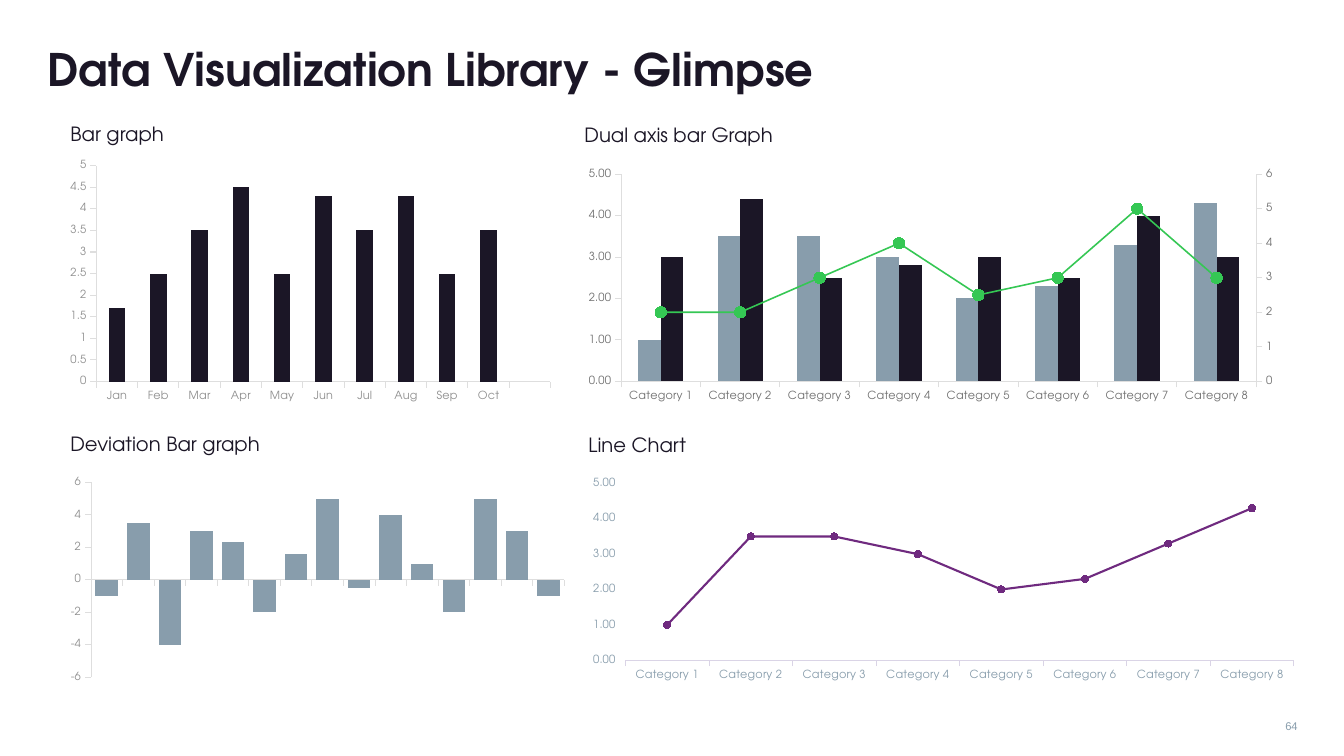
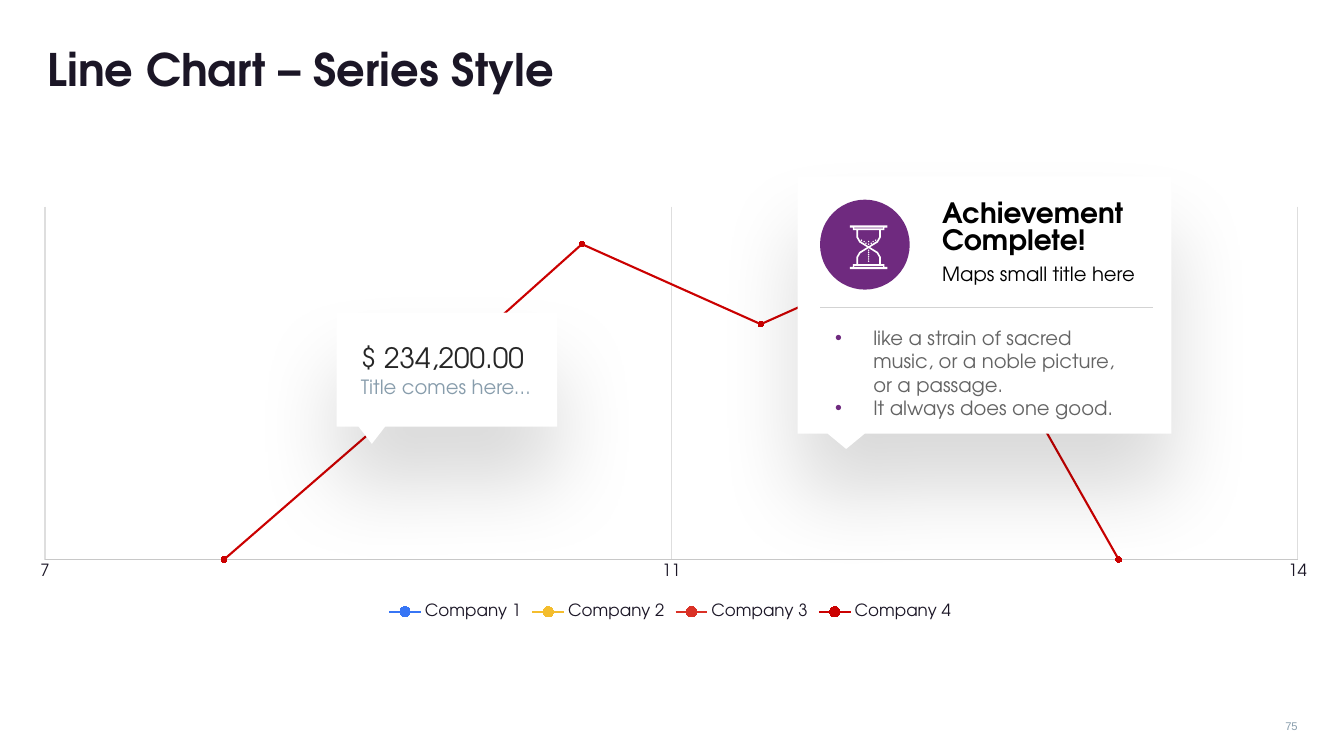
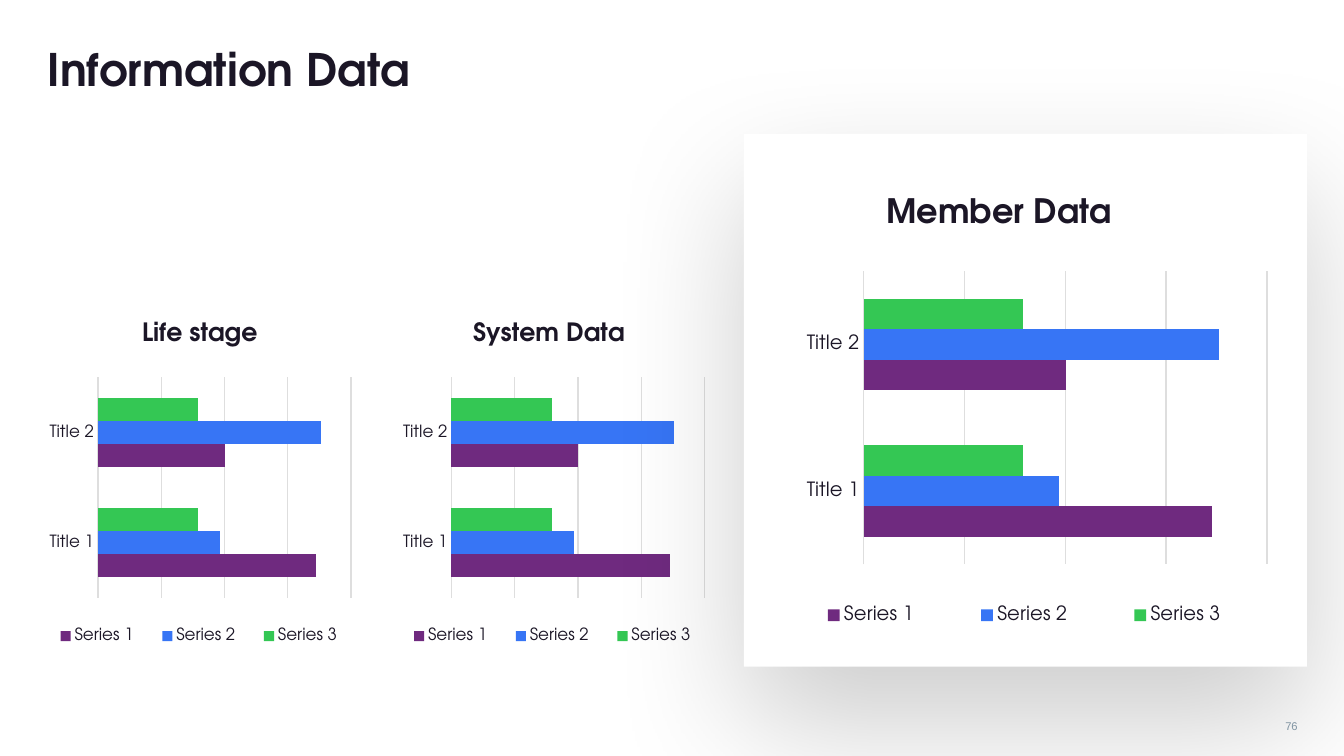
import pptx
import pptx.util
import pptx.chart.data
import pptx.dml.color
import pptx.enum.chart
import pptx.enum.shapes
import pptx.enum.text
import pptx.oxml
import pptx.oxml.ns

RGBColor = pptx.dml.color.RGBColor
Pt = pptx.util.Pt
KIND = pptx.enum.chart.XL_CHART_TYPE
TICK = pptx.enum.chart.XL_TICK_MARK
LABEL = pptx.enum.chart.XL_TICK_LABEL_POSITION
SHAPE = pptx.enum.shapes.MSO_SHAPE
ALIGN = pptx.enum.text.PP_ALIGN
ANCHOR = pptx.enum.text.MSO_ANCHOR
qn = pptx.oxml.ns.qn

INK = RGBColor(0x1B, 0x16, 0x26)
BLACK = RGBColor(0, 0, 0)
WHITE = RGBColor(0xFF, 0xFF, 0xFF)
STEEL = RGBColor(0x88, 0x9D, 0xAC)
DIM = RGBColor(0x8F, 0x8F, 0x8F)
GREY = RGBColor(0x70, 0x70, 0x70)
BODY = RGBColor(0x64, 0x64, 0x64)
PRICE = RGBColor(0x26, 0x26, 0x26)
RULE = RGBColor(0xDE, 0xDE, 0xDE)
BASE = RGBColor(0xC8, 0xC8, 0xC8)
SPLIT = RGBColor(0xD3, 0xD3, 0xD3)
LILAC = RGBColor(0xDA, 0xD4, 0xE6)
GREEN = RGBColor(0x35, 0xC7, 0x54)
LEAF = RGBColor(0x34, 0xC7, 0x54)
BLUE = RGBColor(0x37, 0x75, 0xF5)
AMBER = RGBColor(0xF4, 0xBD, 0x2D)
RED = RGBColor(0xDA, 0x31, 0x26)
CRIMSON = RGBColor(0xCB, 0x01, 0x01)
PLUM = RGBColor(0x6F, 0x2A, 0x7F)
FONT = "TeX Gyre Adventor"

# The grid: 100 columns by 100 rows
WIDE, HIGH = pptx.util.Inches(13.333), pptx.util.Inches(7.5)
COL, ROW = WIDE / 100, HIGH / 100
CATS = [f"Category {n}" for n in range(1, 9)]
TREND = [1, 3.5, 3.5, 3, 2, 2.3, 3.3, 4.3]


def put(item, **vals):
    for name, val in vals.items():
        setattr(item, name, val)


def emu(box):
    x, y, w, h = box
    return [round(v) for v in (x * COL, y * ROW, w * COL, h * ROW)]


def part(box, x, y, w, h):
    """Box given as shares of another box."""
    left, top, wide, high = box
    return left + x * wide, top + y * high, w * wide, h * high


def stroke(line, color, width):
    if color is None:
        line.fill.background()
    else:
        line.color.rgb = color
        line.width = Pt(width)


def fill(item, color):
    item.fill.solid()
    item.fill.fore_color.rgb = color


# Text
def text(slide, box, lines, size, color, bold=False, font=FONT, space=1.0,
         inset=None, bullet=None, shape=None, align=ALIGN.LEFT):
    frame = (shape or slide.shapes.add_textbox(*emu(box))).text_frame
    put(frame, word_wrap=True, vertical_anchor=ANCHOR.TOP)
    if inset is not None:
        put(frame, **{f"margin_{side}": pptx.util.Inches(inset)
                      for side in ("left", "right", "top", "bottom")})
    for n, line in enumerate(lines):
        p = frame.paragraphs[0] if n == 0 else frame.add_paragraph()
        put(p, line_spacing=space, alignment=align)
        if bullet:
            dent = pptx.util.Inches(0.38)
            props = p._p.get_or_add_pPr()
            props.set("marL", str(dent))
            props.set("indent", str(-dent))
            tint = props.makeelement(qn("a:buClr"), {})
            tint.append(props.makeelement(qn("a:srgbClr"), {"val": str(bullet)}))
            props.append(tint)
            props.append(props.makeelement(qn("a:buFont"), {"typeface": "Arial"}))
            props.append(props.makeelement(qn("a:buChar"), {"char": "•"}))
        run = p.add_run()
        run.text = line
        put(run.font, size=Pt(size), name=font, bold=bold)
        run.font.color.rgb = color
    return frame


def page(deck, title, number):
    slide = deck.slides.add_slide(deck.slide_layouts[6])
    head = text(slide, (2.8, 4.7, 94.4, 8.8), [title], 32, INK, bold=True)
    head.vertical_anchor = ANCHOR.MIDDLE
    text(slide, (93.1, 94.5, 4.2, 3.2), [str(number)], 8, STEEL, font="Arial",
         align=ALIGN.RIGHT)
    return slide


# Shapes
def shade(shape, alpha, blur):
    shape.shadow.inherit = False
    effects = shape._element.spPr.find(qn("a:effectLst"))
    effects.append(pptx.oxml.parse_xml(
        f'<a:outerShdw {pptx.oxml.ns.nsdecls("a")} blurRad="{Pt(blur)}" dist="{Pt(40)}"'
        ' dir="5400000" algn="t" rotWithShape="0"><a:srgbClr val="000000">'
        f'<a:alpha val="{alpha * 1000}"/></a:srgbClr></a:outerShdw>'))


def preset(slide, kind, box, color):
    shape = slide.shapes.add_shape(kind, *emu(box))
    fill(shape, color)
    shape.line.fill.background()
    shape.shadow.inherit = False
    return shape


def outline(slide, box, color, *loops):
    """One shape of closed loops, their points given as shares of the box."""
    pen = None
    for loop in loops:
        spots = [tuple(emu(part(box, x, y, 0, 0))[:2]) for x, y in loop]
        if pen is None:
            pen = slide.shapes.build_freeform(*spots[0])
        else:
            pen.move_to(*spots[0])
        pen.add_line_segments(spots[1:], close=True)
    shape = pen.convert_to_shape()
    shape.shadow.inherit = False
    shape.line.fill.background()
    if color is None:
        shape.fill.background()
    else:
        fill(shape, color)
    return shape


def balloon(slide, box, tip, half, drop):
    shape = outline(slide, box, WHITE, [
        (0, 0), (1, 0), (1, 1), (tip + half, 1), (tip, 1 + drop), (tip - half, 1), (0, 1)])
    shade(shape, 15, 60)


def label(slide, box, lines, size, bold=False):
    frame = outline(slide, box, None, [(0, 0), (1, 0), (1, 1), (0, 1)])
    text(slide, box, lines, size, BLACK, bold, space=0.8, inset=0.1, shape=frame)


def glass(slide, box):
    """Hourglass icon: silhouette, hollows and sand."""
    def mirror(side):
        return side + [(1 - x, y) for x, y in reversed(side)]

    def flip(loop):
        return [(x, 1 - y) for x, y in loop]

    edge = [(0, 0), (0, 0.05), (0.08, 0.05), (0.08, 0.11), (0.17, 0.11),
            (0.17, 0.27), (0.25, 0.39), (0.46, 0.5)]
    bulb = mirror([(0.22, 0.11), (0.22, 0.27), (0.28, 0.36), (0.5, 0.48)])
    slot = mirror([(0.11, 0.05), (0.11, 0.07)])
    loops = [mirror(edge + flip(edge[-2::-1])), slot, bulb, flip(slot), flip(bulb)]
    sand = [(0.5, y) for y in (0.37, 0.43, 0.57, 0.62, 0.67, 0.72, 0.77, 0.82)]
    sand += [(0.5 + d * s, y) for d, y in ((0.07, 0.41), (0.12, 0.37), (0.19, 0.34))
             for s in (-1, 1)]
    loops += [[(x - 0.02, y), (x, y - 0.02), (x + 0.02, y), (x, y + 0.02)]
              for x, y in sand]
    outline(slide, box, WHITE, *loops)


# Charts
def layout(host, after, inner=False, **vals):
    """Place a part of a chart by shares of the chart."""
    for old in host.findall(qn("c:layout")):
        host.remove(old)
    marks = '<c:layoutTarget val="inner"/>' if inner else ""
    marks += '<c:xMode val="edge"/><c:yMode val="edge"/>'
    marks += "".join(f'<c:{k} val="{v}"/>' for k, v in vals.items())
    node = pptx.oxml.parse_xml(f'<c:layout {pptx.oxml.ns.nsdecls("c")}>'
                               f'<c:manualLayout>{marks}</c:manualLayout></c:layout>')
    if after is None:
        host.insert(0, node)
    else:
        host.find(qn(after)).addnext(node)


def graph(slide, kind, box, data, size, color=INK, title=None, legend=False, plot=None):
    chart = slide.shapes.add_chart(kind, *emu(box), data).chart
    put(chart.font, size=Pt(size), name=FONT)
    chart.font.color.rgb = color
    chart.plots[0].vary_by_categories = False
    put(chart, has_title=bool(title), has_legend=legend)
    if title:
        words, points, left = title
        run = chart.chart_title.text_frame.paragraphs[0].add_run()
        run.text = words
        put(run.font, size=Pt(points), name=FONT, bold=True)
        run.font.color.rgb = INK
        layout(chart.chart_title._element, "c:tx", x=left, y=0.01)
    if legend:
        put(chart.legend, include_in_layout=False,
            position=pptx.enum.chart.XL_LEGEND_POSITION.BOTTOM)
    if plot:
        layout(chart._chartSpace.chart.plotArea, None, True, **dict(zip("xywh", plot)))
    return chart


def table(cats, *series):
    data = pptx.chart.data.CategoryChartData()
    data.categories = cats
    for name, vals in series:
        data.add_series(name, vals)
    return data


def axis(item, line=RULE, width=0.75, tick=TICK.OUTSIDE, fmt="General",
         labels=True, grid=False, **scale):
    put(item, major_tick_mark=tick, minor_tick_mark=TICK.NONE,
        has_major_gridlines=grid, has_minor_gridlines=False,
        tick_label_position=LABEL.NEXT_TO_AXIS if labels else LABEL.NONE, **scale)
    put(item.tick_labels, number_format=fmt, number_format_is_linked=False)
    stroke(item.format.line, line, width)
    if grid:
        stroke(item.major_gridlines.format.line, RULE, 1)


def span(low, high, step):
    return dict(minimum_scale=low, maximum_scale=high, major_unit=step)


def bars(chart, colors, gap, overlap=0):
    put(chart.plots[0], gap_width=gap, overlap=overlap)
    for series, color in zip(chart.plots[0].series, colors):
        fill(series.format, color)
        series.invert_if_negative = False


def trace(series, color, width, size):
    stroke(series.format.line, color, width)
    series.smooth = False
    put(series.marker, size=size, style=pptx.enum.chart.XL_MARKER_STYLE.CIRCLE)
    fill(series.marker.format, color)
    stroke(series.marker.format.line, color, 0.75)


def dual(chart):
    """Move the last series to a line on a right-hand axis."""
    area = chart._chartSpace.chart.plotArea
    first = area.find(qn("c:barChart"))
    moved = first.findall(qn("c:ser"))[-1]
    for flag in moved.findall(qn("c:invertIfNegative")):
        moved.remove(flag)
    ns = pptx.oxml.ns.nsdecls("c", "a")
    line = pptx.oxml.parse_xml(
        f'<c:lineChart {ns}><c:grouping val="standard"/><c:varyColors val="0"/>'
        '<c:marker val="1"/><c:axId val="501"/><c:axId val="502"/></c:lineChart>')
    line.insert(2, moved)
    first.addnext(line)

    def side(tag, own, other, hide, pos, limits, tail):
        return pptx.oxml.parse_xml(
            f'<c:{tag} {ns}><c:axId val="{own}"/><c:scaling><c:orientation val="minMax"/>'
            f'{limits}</c:scaling><c:delete val="{hide}"/><c:axPos val="{pos}"/>'
            '<c:numFmt formatCode="General" sourceLinked="0"/><c:majorTickMark val="out"/>'
            '<c:minorTickMark val="none"/><c:tickLblPos val="nextTo"/>'
            f'<c:spPr><a:ln w="{Pt(0.75)}"><a:solidFill><a:srgbClr val="{RULE}"/>'
            f'</a:solidFill></a:ln></c:spPr><c:crossAx val="{other}"/>{tail}</c:{tag}>')

    last = area.findall(qn("c:valAx"))[-1]
    right = side("valAx", 502, 501, 0, "r", '<c:max val="6"/><c:min val="0"/>',
                 '<c:crosses val="max"/><c:crossBetween val="between"/>'
                 '<c:majorUnit val="1"/>')
    under = side("catAx", 501, 502, 1, "b", "", '<c:crosses val="autoZero"/>')
    last.addnext(right)
    right.addnext(under)
    trace(chart.plots[1].series[0], GREEN, 1.13, 8)


def months(slide, box):
    names = "Jan Feb Mar Apr May Jun Jul Aug Sep Oct".split() + [""]
    vals = [1.7, 2.5, 3.5, 4.5, 2.5, 4.3, 3.5, 4.3, 2.5, 3.5, None]
    chart = graph(slide, KIND.COLUMN_STACKED, box, table(names, ("Series 1", vals)), 8, DIM)
    bars(chart, [INK], 150, 100)
    axis(chart.category_axis)
    axis(chart.value_axis, **span(0, 5, 0.5))


def swings(slide, box):
    vals = [-1, 3.5, -4, 3, 2.3, -2, 1.6, 5, -0.5, 4, 1, -2, 5, 3, -1]
    names = [str(n + 1) for n in range(len(vals))]
    chart = graph(slide, KIND.COLUMN_CLUSTERED, box, table(names, ("Series 1", vals)), 8, DIM)
    bars(chart, [STEEL], 40)
    axis(chart.category_axis, width=0.5, labels=False)
    axis(chart.value_axis, width=0.5, **span(-6, 6, 2))


def mixed(slide, box):
    data = table(CATS, ("Series 1", TREND), ("Series 2", [3, 4.4, 2.5, 2.8, 3, 2.5, 4, 3]),
                 ("Series 3", [2, 2, 3, 4, 2.5, 3, 5, 3]))
    chart = graph(slide, KIND.COLUMN_CLUSTERED, box, data, 8, GREY)
    axis(chart.category_axis)
    axis(chart.value_axis, fmt="#,##0.00", **span(0, 5, 1))
    dual(chart)
    bars(chart, [STEEL, INK], 150)


def curve(slide, box):
    chart = graph(slide, KIND.LINE_MARKERS_STACKED, box,
                  table(CATS, ("Series 1", TREND)), 8, STEEL)
    trace(chart.plots[0].series[0], PLUM, 1.5, 5)
    axis(chart.category_axis, line=LILAC)
    axis(chart.value_axis, line=None, fmt="#,##0.00", **span(0, 5, 1))


def firms(slide, box):
    data = pptx.chart.data.XyChartData()
    runs = [(1, [0, 50, 17, 33, 0]), (3, [0, 83, 100, 67, 33, 0]),
            (6, [0, 33, 67, 0]), (8, [0, 33, 67, 50, 67, 0])]
    for n, (start, vals) in enumerate(runs, 1):
        series = data.add_series(f"Company {n}")
        for _ in range(start - 1):
            series.add_data_point(None, None)
        for x, y in enumerate(vals, start):
            series.add_data_point(x, y)
    chart = graph(slide, KIND.XY_SCATTER_LINES, box, data, 12, legend=True,
                  plot=(0.008, 0.037, 0.986, 0.815))
    for series, color in zip(chart.plots[0].series, (BLUE, AMBER, RED, CRIMSON)):
        trace(series, color, 1.5, 4)
    axis(chart.category_axis, line=BASE, width=1, tick=TICK.NONE, fmt="0", grid=True,
         **span(7, 14, 3.5))
    axis(chart.value_axis, line=None, tick=TICK.NONE, fmt="0", labels=False,
         **span(0, 75, 25))


def ranks(slide, box, title, size):
    data = table(["Title 2", "Title 1"], ("Series 3", [45, 45]),
                 ("Series 2", [100, 55]), ("Series 1", [57, 98]))
    chart = graph(slide, KIND.BAR_CLUSTERED, box, data, size, title=title,
                  legend=True, plot=(0.187, 0.193, 0.785, 0.645))
    layout(chart.legend._element, "c:legendPos", x=0, y=0.9, w=1, h=0.1)
    bars(chart, [LEAF, BLUE, PLUM], 182)
    axis(chart.category_axis, width=1, tick=TICK.NONE, reverse_order=True)
    axis(chart.value_axis, line=None, tick=TICK.NONE, fmt="0.#", labels=False,
         grid=True, **span(0, 113.6, 28.4))


# Cards
def price(slide, box):
    balloon(slide, box, 0.16, 0.06, 0.15)
    for top, high, words, size, color in ((0.16, 0.35, "$ 234,200.00", 20, PRICE),
                                          (0.48, 0.25, "Title comes here…", 14, STEEL)):
        text(slide, part(box, 0.11, top, 1, high), [words], size, color,
             space=1.3, inset=0)


def award(slide, box):
    balloon(slide, box, 0.13, 0.05, 0.06)
    text(slide, part(box, 0.1, 0.58, 0.77, 0.27),
         ["like a strain of sacred music, or a noble picture, or a passage.",
          "It always does one good."], 14, BODY, inset=0, bullet=PLUM)
    label(slide, part(box, 0.36, 0.06, 0.59, 0.29), ["Achievement", "Complete!"], 20, True)
    label(slide, part(box, 0.36, 0.31, 0.59, 0.16), ["Maps small title here"], 14)
    preset(slide, SHAPE.OVAL, part(box, 0.06, 0.09, 0.24, 0.35), PLUM)
    x, y, w, _ = emu(part(box, 0.06, 0.51, 0.89, 0))
    rule = slide.shapes.add_connector(pptx.enum.shapes.MSO_CONNECTOR.STRAIGHT,
                                      x, y, x + w, y)
    stroke(rule.line, SPLIT, 1)
    props = rule._element.spPr
    props.append(props.makeelement(qn("a:effectLst"), {}))
    glass(slide, part(box, 0.14, 0.19, 0.1, 0.17))


def member(slide, box):
    shade(preset(slide, SHAPE.RECTANGLE, box, WHITE), 20, 100)
    left, top, _, _ = box
    ranks(slide, (left + 1.75, top + 6.6, 38.25, 60.1), ("Member Data", 24, 0.22), 14)


# Slides
def glimpse(deck):
    slide = page(deck, "Data Visualization Library - Glimpse", 64)
    panels = [("Bar graph", 14.9, months, (4.5, 20.55, 37.2, 33.3)),
              ("Deviation Bar graph", 55.9, swings, (4.5, 62.55, 38.25, 28.3)),
              ("Dual axis bar Graph", 15, mixed, (42.75, 21.7, 53, 32.1)),
              ("Line Chart", 56, curve, (43.05, 62.7, 54.3, 27.9))]
    for name, top, draw, box in panels:
        draw(slide, box)
        text(slide, (box[0], top, 16.3, 4.8), [name], 14, INK, space=1.2)


def lines(deck):
    slide = page(deck, "Line Chart – Series Style", 75)
    firms(slide, (2.6, 25.2, 94.65, 57.3))
    price(slide, (25.05, 41.35, 16.4, 15.1))
    award(slide, (59.35, 23.35, 27.8, 34))


def info(deck):
    slide = page(deck, "Information Data", 76)
    for n, (name, left) in enumerate((("Life stage", 0.31), ("System Data", 0.24))):
        ranks(slide, (2.8 + 26.3 * n, 41.2, 24, 45.2), (name, 18, left), 12)
    member(slide, (55.35, 17.7, 41.9, 70.5))


def main():
    deck = pptx.Presentation()
    put(deck, slide_width=WIDE, slide_height=HIGH)
    for build in (glimpse, lines, info):
        build(deck)
    deck.save("out.pptx")


if __name__ == "__main__":
    main()
